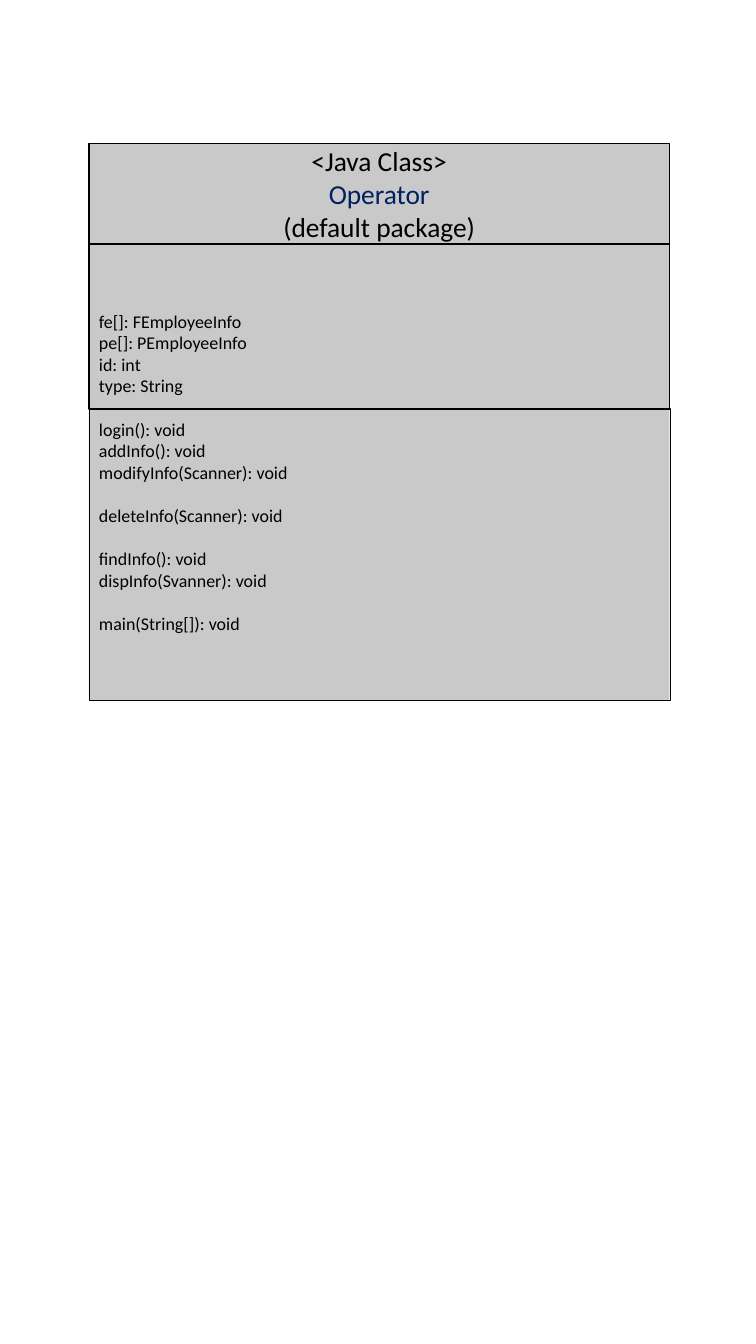
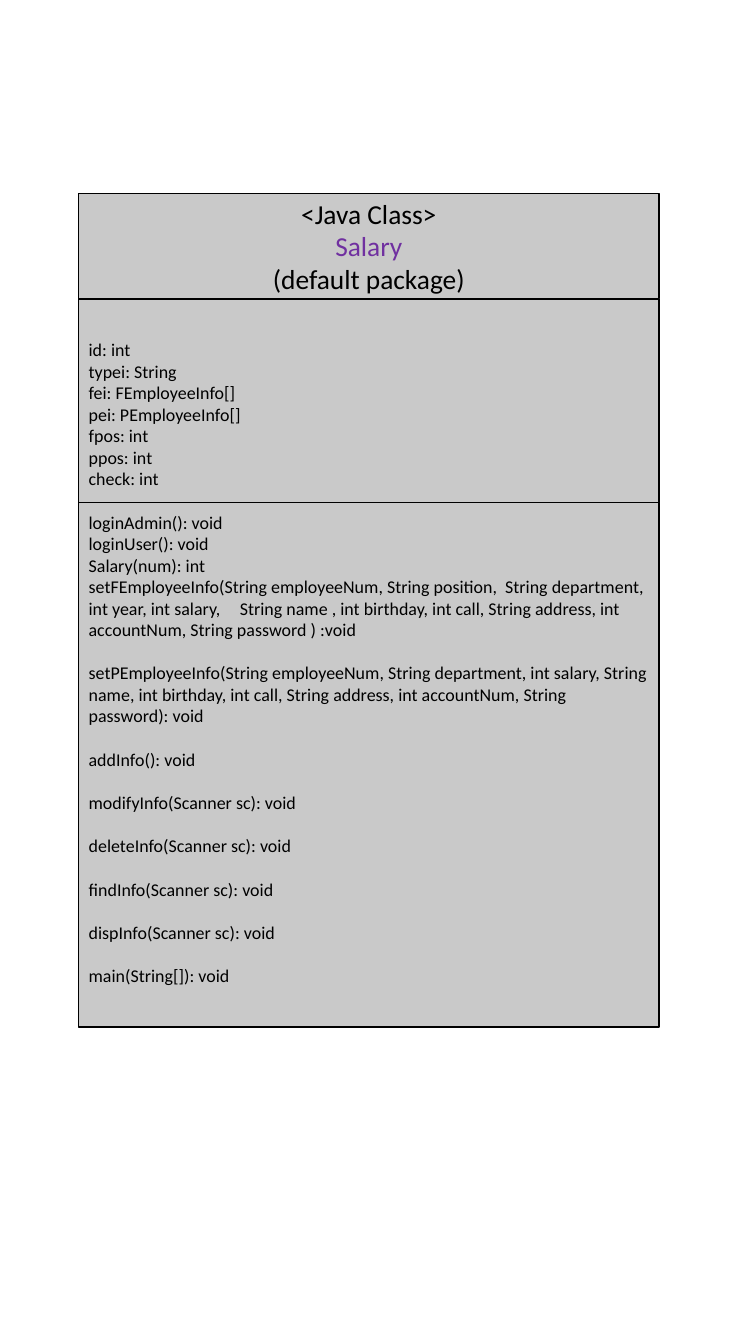
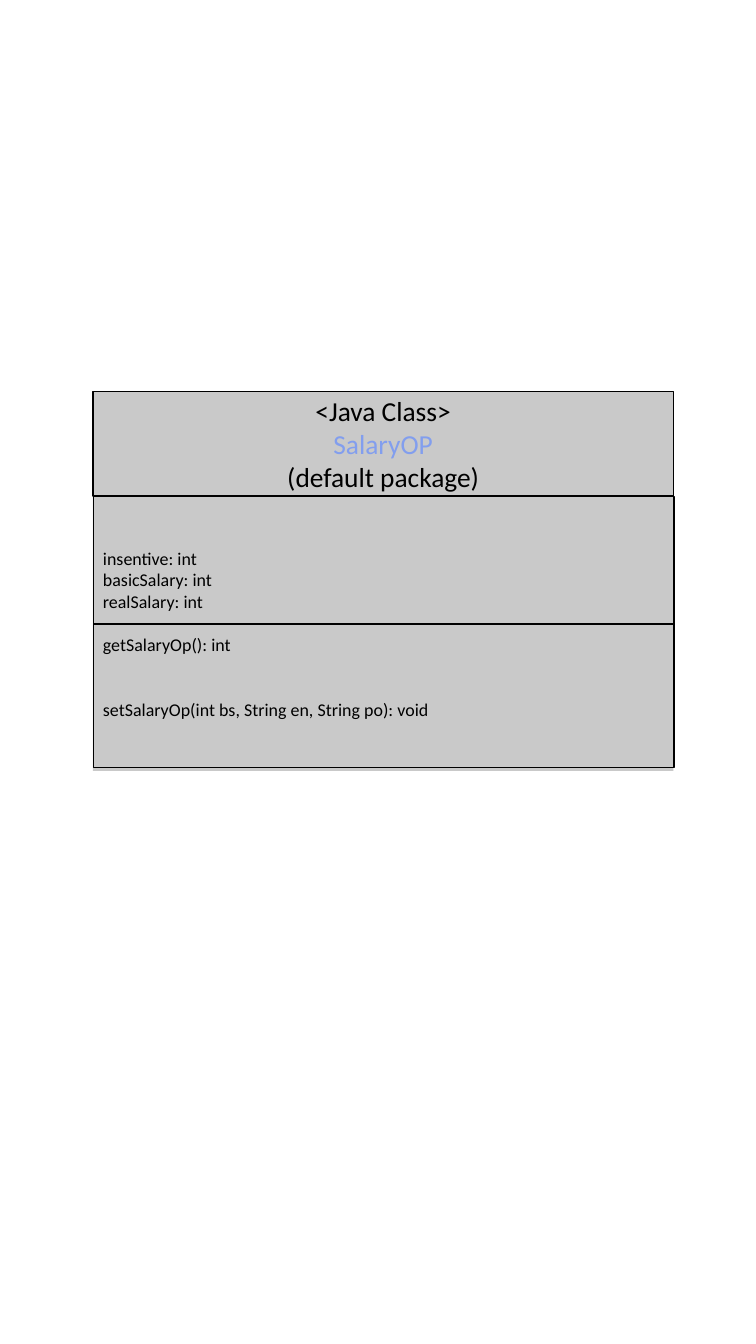
from dataclasses import dataclass
from typing import NamedTuple

from pptx import Presentation
from pptx.dml.color import RGBColor as Rgb
from pptx.enum.shapes import MSO_SHAPE as Shape
from pptx.enum.text import MSO_ANCHOR as Anchor, MSO_AUTO_SIZE as Fit, PP_ALIGN as Align
from pptx.oxml.ns import qn
from pptx.util import Cm, Pt

COLORS = {
    "black": "000000",
    "gray": "C9C9C9",
    "navy": "002060",
    "purple": "7030A0",
    "blue": "829EEE",
}
FONT = "Calibri"
HEAD_SIZE = 19.6
LIST_SIZE = 12.8
LINE_GAP = 15.6
WIDTH = 14.63


class Row(NamedTuple):
    text: str
    skip: int = 0  # line heights left free above
    color: str = "black"


class Box(NamedTuple):
    left: float
    top: float
    bottom: float


@dataclass
class Model:
    """One class diagram; lengths in centimetres."""
    name: str
    color: str
    head: Box
    body: Box
    fields: Box
    methods: Box
    rows: list[Row]


MODELS = [
    Model(
        "Operator", "navy",
        head=Box(2.24, 3.61, 6.14),
        body=Box(2.24, 6.15, 17.65),
        fields=Box(2.24, 6.15, 10.31),
        methods=Box(2.26, 10.31, 17.65),
        rows=[
            Row("fe[]: FEmployeeInfo"),
            Row("pe[]: PEmployeeInfo"),
            Row("id: int"),
            Row("type: String"),
            Row("login(): void", 1),
            Row("addInfo(): void"),
            Row("modifyInfo(Scanner): void"),
            Row("deleteInfo(Scanner): void", 1),
            Row("findInfo(): void", 1),
            Row("dispInfo(Svanner): void"),
            Row("main(String[]): void", 1),
        ],
    ),
    Model(
        "Salary", "purple",
        head=Box(1.98, 4.88, 7.52),
        body=Box(1.98, 7.52, 25.88),
        fields=Box(1.98, 7.54, 12.66),
        methods=Box(1.98, 12.67, 25.88),
        rows=[
            Row("id: int"),
            Row("typei: String"),
            Row("fei: FEmployeeInfo[]"),
            Row("pei: PEmployeeInfo[]"),
            Row("fpos: int"),
            Row("ppos: int"),
            Row("check: int"),
            Row("loginAdmin(): void", 1),
            Row("loginUser(): void"),
            Row("Salary(num): int"),
            Row("setFEmployeeInfo(String employeeNum, String position,  String "
                "department, int year, int salary, \tString name , int birthday, "
                "int call, String address, int accountNum, String password ) :void"),
            Row("setPEmployeeInfo(String employeeNum, String department, int salary, "
                "String name, int birthday, int call, String address, "
                "int accountNum, String password): void", 1),
            Row("addInfo(): void", 1),
            Row("modifyInfo(Scanner sc): void", 1),
            Row("deleteInfo(Scanner sc): void", 1),
            Row("findInfo(Scanner sc): void", 1),
            Row("dispInfo(Scanner sc): void", 1),
            Row("main(String[]): void", 1),
        ],
    ),
    Model(
        "SalaryOP", "blue",
        head=Box(2.34, 9.86, 12.5),
        body=Box(2.34, 12.52, 19.43),
        fields=Box(2.36, 12.52, 15.74),
        methods=Box(2.36, 15.72, 19.35),
        rows=[
            Row("insentive: int"),
            Row("basicSalary: int"),
            Row("realSalary: int"),
            Row("getSalaryOp(): int", 1),
            Row("setSalaryOp(int bs, String en, String po): void", 2),
        ],
    ),
]


def tint(name: str) -> Rgb:
    return Rgb.from_string(COLORS[name])


def place(shape, box: Box) -> None:
    shape.left, shape.top = Cm(box.left), Cm(box.top)
    shape.width, shape.height = Cm(WIDTH), Cm(box.bottom - box.top)


def fill(shape) -> None:
    shape.fill.solid()
    shape.fill.fore_color.rgb = tint("gray")


def edge(shape) -> None:
    shape.line.color.rgb = tint("black")
    shape.line.width = Pt(1)


def write(shape, rows: list[Row], *, size: float, align=Align.LEFT) -> None:
    """Set one plain, unbulleted paragraph per row, centred in height."""
    frame = shape.text_frame
    frame.word_wrap = True
    frame.auto_size = Fit.NONE
    frame.vertical_anchor = Anchor.MIDDLE
    for i, row in enumerate(rows):
        para = frame.add_paragraph() if i else frame.paragraphs[0]
        para.alignment = align
        para.space_before = Pt(row.skip * LINE_GAP)
        props = para._p.get_or_add_pPr()
        props.set("marL", "0")
        props.set("indent", "0")
        props.append(props.makeelement(qn("a:buNone"), {}))
        run = para.add_run()
        run.text = row.text
        run.font.name = FONT
        run.font.size = Pt(size)
        run.font.color.rgb = tint(row.color)


def outline(slide, box: Box) -> None:
    shape = slide.shapes.add_shape(Shape.RECTANGLE, 0, 0, 0, 0)
    place(shape, box)
    shape.shadow.inherit = False
    shape.fill.background()
    edge(shape)


def draw(deck, model: Model) -> None:
    slide = deck.slides.add_slide(deck.slide_layouts[1])
    head, body = slide.shapes.title, slide.placeholders[1]
    for shape, box in ((head, model.head), (body, model.body)):
        place(shape, box)
        fill(shape)
    edge(head)
    frame = head.text_frame
    frame.margin_left = frame.margin_right = Cm(0.15)
    frame.margin_top = frame.margin_bottom = Cm(0.08)
    title = [Row("<Java Class>"), Row(model.name, color=model.color),
             Row("(default package)")]
    write(head, title, size=HEAD_SIZE, align=Align.CENTER)
    write(body, model.rows, size=LIST_SIZE)
    for box in (model.fields, model.methods):
        outline(slide, box)


def main() -> None:
    deck = Presentation()
    deck.slide_width, deck.slide_height = Cm(19.05), Cm(33.87)
    for model in MODELS:
        draw(deck, model)
    deck.save("out.pptx")


if __name__ == "__main__":
    main()
